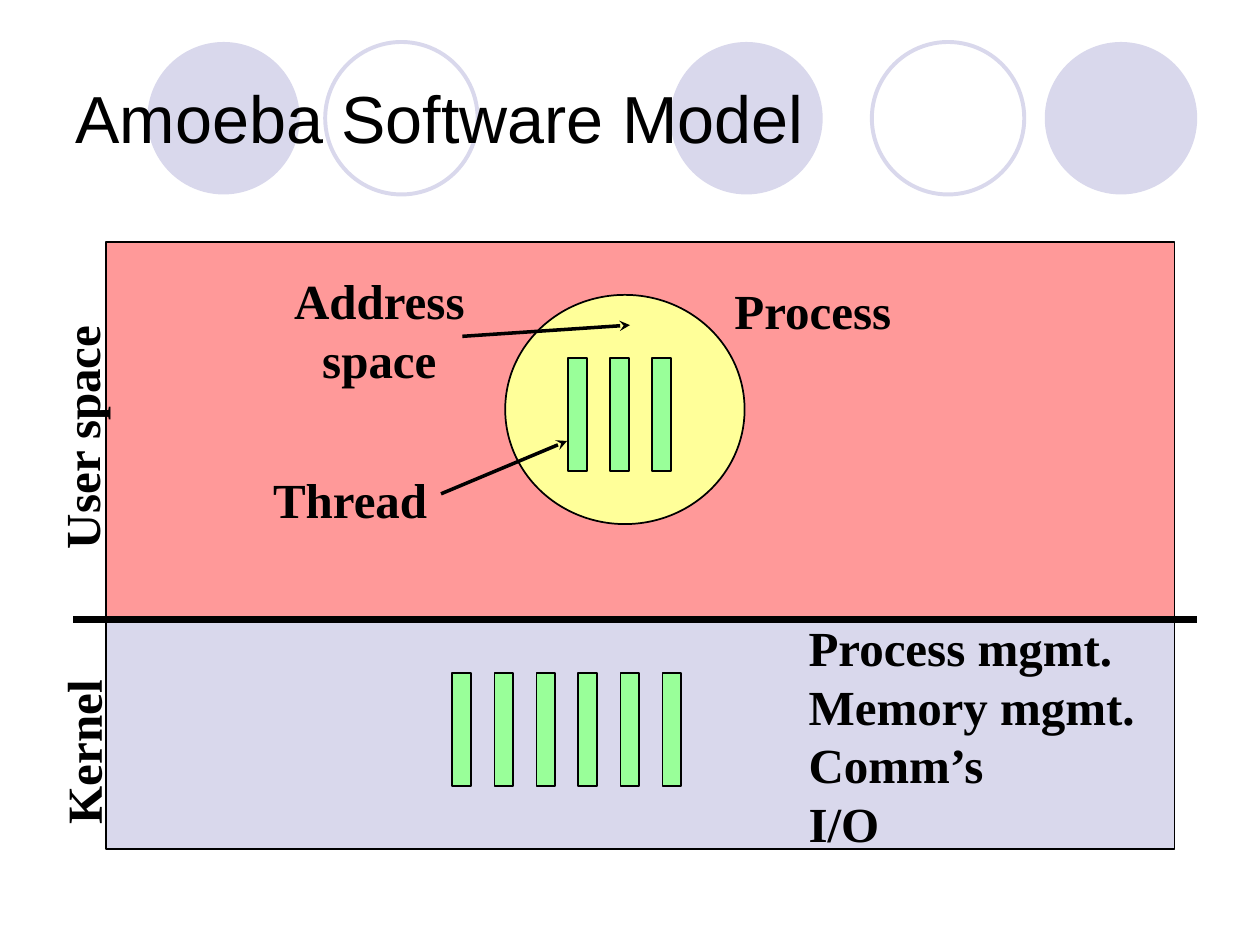
from typing import NamedTuple

from lxml.etree import SubElement
from pptx import Presentation
from pptx.dml.color import RGBColor
from pptx.enum.shapes import MSO_CONNECTOR, MSO_SHAPE
from pptx.enum.text import MSO_ANCHOR, PP_ALIGN
from pptx.oxml.ns import qn
from pptx.util import Pt

BLACK, LAVENDER, RED, YELLOW, GREEN = "000000", "D9D8EC", "FF9999", "FFFF99", "99FF99"
LABEL_FONT = {"name": "Times New Roman", "size": Pt(28), "bold": True}
TITLE_FONT = {"name": "Arial", "size": Pt(38), "bold": False}
THREAD_STEP = 24


class Box(NamedTuple):
    left: float
    top: float
    width: float
    height: float


class Label(NamedTuple):
    lines: list[str]
    box: Box
    align: PP_ALIGN = PP_ALIGN.LEFT
    rotation: int = 0


class Line(NamedTuple):
    start: tuple[float, float]
    end: tuple[float, float]
    width: float = 2
    arrow: bool = True


CIRCLES = [(383, True), (597, True), (84.2, True), (498.2, False), (185.8, False)]

LABELS = [
    Label(["Address", "space"], Box(160.6, 151.2, 112.3, 74.9), PP_ALIGN.CENTER),
    Label(["Thread"], Box(149, 265, 103, 41)),
    Label(["Process"], Box(412.6, 157, 104.4, 41)),
    Label(["User space"], Box(-25.2, 229, 142.6, 41), rotation=270),
    Label(["Kernel"], Box(-1.4, 409, 97.2, 41), rotation=270),
    Label(["Process mgmt.", "Memory mgmt.", "Comm’s", "I/O"],
          Box(455, 349.2, 200.9, 141.8)),
]

LINES = [
    Line((264.2, 192.2), (360, 185.8)),
    Line((252, 282.2), (324, 252)),
    Line((41.8, 354.2), (684, 354.2), width=4, arrow=False),
]


def colour(hex_value: str) -> RGBColor:
    return RGBColor.from_string(hex_value)


def add_figure(slide, kind: MSO_SHAPE, box: Box, fill: str | None,
               outline: str | None = BLACK, weight: float = 1) -> None:
    figure = slide.shapes.add_shape(kind, *map(Pt, box))
    figure.shadow.inherit = False
    if fill:
        figure.fill.solid()
        figure.fill.fore_color.rgb = colour(fill)
    else:
        figure.fill.background()
    if outline:
        figure.line.color.rgb = colour(outline)
        figure.line.width = Pt(weight)
    else:
        figure.line.fill.background()


def add_threads(slide, left: float, top: float, count: int) -> None:
    for i in range(count):
        bar = Box(left + i * THREAD_STEP, top, 10.8, 64.8)
        add_figure(slide, MSO_SHAPE.RECTANGLE, bar, GREEN)


def add_label(slide, label: Label, font_format: dict = LABEL_FONT,
              anchor: MSO_ANCHOR = MSO_ANCHOR.TOP, wrap: bool = False) -> None:
    holder = slide.shapes.add_textbox(*map(Pt, label.box))
    holder.rotation = label.rotation
    frame = holder.text_frame
    frame.word_wrap = wrap
    frame.vertical_anchor = anchor
    frame.text = "\n".join(label.lines)
    for paragraph in frame.paragraphs:
        paragraph.alignment = label.align
        for run in paragraph.runs:
            for attribute, value in font_format.items():
                setattr(run.font, attribute, value)
            run.font.color.rgb = colour(BLACK)


def add_line(slide, line: Line) -> None:
    connector = slide.shapes.add_connector(
        MSO_CONNECTOR.STRAIGHT, *map(Pt, line.start + line.end))
    connector.line.color.rgb = colour(BLACK)
    connector.line.width = Pt(line.width)
    if line.arrow:
        SubElement(connector.line._get_or_add_ln(), qn("a:tailEnd"), type="stealth")
    SubElement(connector._element.spPr, qn("a:effectLst"))


def main() -> None:
    deck = Presentation()
    deck.slide_width, deck.slide_height = Pt(720), Pt(540)
    slide = deck.slides.add_slide(deck.slide_layouts[6])

    for left, filled in CIRCLES:
        add_figure(slide, MSO_SHAPE.OVAL, Box(left, 24, 87.1, 87.1),
                   LAVENDER if filled else None,
                   None if filled else LAVENDER, 2.25)

    add_figure(slide, MSO_SHAPE.RECTANGLE, Box(60.5, 138.2, 610.6, 215.3), RED)
    add_figure(slide, MSO_SHAPE.OVAL, Box(288.7, 168.5, 136.8, 131), YELLOW)
    add_label(slide, Label(["Amoeba Software Model"], Box(36, 21.6, 648, 90)),
              TITLE_FONT, MSO_ANCHOR.MIDDLE, wrap=True)
    add_threads(slide, 324.7, 204.5, 3)

    add_figure(slide, MSO_SHAPE.RECTANGLE, Box(60.5, 354.2, 610.6, 131), LAVENDER)
    add_threads(slide, 258.5, 384.5, 6)

    for line in LINES:
        add_line(slide, line)
    for label in LABELS:
        add_label(slide, label)

    deck.save("out.pptx")


if __name__ == "__main__":
    main()
